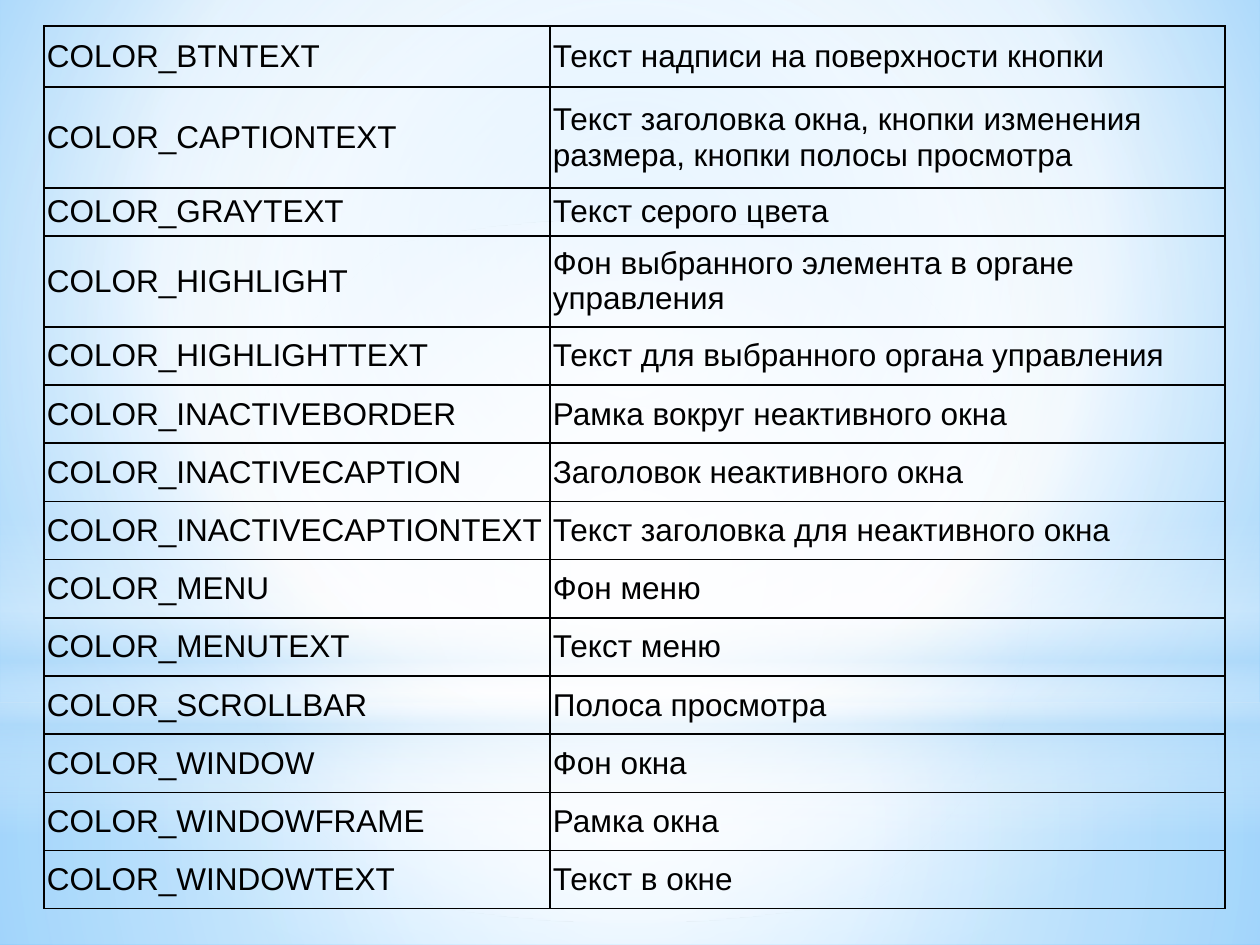
from lxml import etree
from pptx import Presentation
from pptx.dml.color import RGBColor
from pptx.enum.shapes import MSO_SHAPE
from pptx.enum.text import MSO_ANCHOR
from pptx.oxml.ns import qn
from pptx.util import Emu, Pt

RECTANGLE = MSO_SHAPE.RECTANGLE
OVAL = MSO_SHAPE.OVAL
MIDDLE = MSO_ANCHOR.MIDDLE

BLACK = RGBColor(0x00, 0x00, 0x00)
WHITE = RGBColor(0xFF, 0xFF, 0xFF)
SKY = RGBColor(0x9E, 0xD5, 0xFF)
BLUE = RGBColor(0x5B, 0xB9, 0xFF)
PALE = RGBColor(0xB4, 0xDC, 0xFA)

FONT = "Arial"
FONT_SIZE = 18
BORDER_WIDTH = 1
SCALE = 914400 // 126
WIDTH, HEIGHT = 1260, 945
CENTER = (50, 50, 50, 50)

BACKDROP_STOPS = [(0, SKY, 100), (60, WHITE, 100), (100, BLUE, 100)]
BACKDROP_FOCUS = (20, 10, 20, 60)

GLOWS = [
    (RECTANGLE, (0, 703, WIDTH, 242), CENTER,
     [(0, WHITE, 91), (37, WHITE, 76), (100, PALE, 79)]),
    (RECTANGLE, (0, 0, WIDTH, 703), CENTER,
     [(0, WHITE, 89), (48, WHITE, 62), (100, PALE, 79)]),
    (RECTANGLE, (0, 519, WIDTH, 315), None,
     [(0, WHITE, 0), (29, WHITE, 30), (45, PALE, 40),
      (55, WHITE, 26), (65, PALE, 60), (100, WHITE, 0)]),
    (OVAL, (0, 220, WIDTH, 703), CENTER,
     [(0, WHITE, 100), (56, WHITE, 0)]),
]

TABLE_LEFT, TABLE_TOP, TABLE_HEIGHT = 44, 26, 883
COLUMN_WIDTHS = [506, 675]
FIRST_ROW_HEIGHTS = [61, 101, 48, 91]
SIDE_MARGIN, EDGE_MARGIN = 3, 1

ROWS = [
    ("COLOR_BTNTEXT", "Текст надписи на поверхности кнопки"),
    ("COLOR_CAPTIONTEXT",
     "Текст заголовка окна, кнопки изменения размера, кнопки полосы просмотра"),
    ("COLOR_GRAYTEXT", "Текст серого цвета"),
    ("COLOR_HIGHLIGHT", "Фон выбранного элемента в органе управления"),
    ("COLOR_HIGHLIGHTTEXT", "Текст для выбранного органа управления"),
    ("COLOR_INACTIVEBORDER", "Рамка вокруг неактивного окна"),
    ("COLOR_INACTIVECAPTION", "Заголовок неактивного окна"),
    ("COLOR_INACTIVECAPTIONTEXT", "Текст заголовка для неактивного окна"),
    ("COLOR_MENU", "Фон меню"),
    ("COLOR_MENUTEXT", "Текст меню"),
    ("COLOR_SCROLLBAR", "Полоса просмотра"),
    ("COLOR_WINDOW", "Фон окна"),
    ("COLOR_WINDOWFRAME", "Рамка окна"),
    ("COLOR_WINDOWTEXT", "Текст в окне"),
]


def px(value):
    return Emu(round(value * SCALE))


def add_node(parent, tag, **attributes):
    node = etree.SubElement(parent, qn(tag))
    for name, value in attributes.items():
        node.set(name, str(value))
    return node


def add_color(parent, color, opacity=100):
    node = add_node(parent, "a:srgbClr", val=color)
    if opacity < 100:
        add_node(node, "a:alpha", val=opacity * 1000)


def set_gradient(fill, element, stops, focus):
    fill.gradient()
    gradient = element.find(".//" + qn("a:gradFill"))
    for child in list(gradient):
        gradient.remove(child)
    stop_list = add_node(gradient, "a:gsLst")
    for position, color, opacity in stops:
        add_color(add_node(stop_list, "a:gs", pos=position * 1000), color, opacity)
    if focus is None:
        add_node(gradient, "a:lin", ang=90 * 60000, scaled=0)
    else:
        circle = add_node(gradient, "a:path", path="circle")
        sides = {side: value * 1000 for side, value in zip("ltrb", focus)}
        add_node(circle, "a:fillToRect", **sides)


def set_borders(cell):
    properties = cell._tc.get_or_add_tcPr()
    for index, tag in enumerate(("a:lnL", "a:lnR", "a:lnT", "a:lnB")):
        line = add_node(properties, tag, w=Pt(BORDER_WIDTH))
        add_color(add_node(line, "a:solidFill"), BLACK)
        properties.insert(index, line)


def fill_cell(cell, text):
    cell.fill.background()
    cell.vertical_anchor = MIDDLE
    cell.margin_left = cell.margin_right = px(SIDE_MARGIN)
    cell.margin_top = cell.margin_bottom = px(EDGE_MARGIN)
    run = cell.text_frame.paragraphs[0].add_run()
    run.text = text
    run.font.name = FONT
    run.font.size = Pt(FONT_SIZE)
    run.font.color.rgb = BLACK
    set_borders(cell)


presentation = Presentation()
presentation.slide_width = px(WIDTH)
presentation.slide_height = px(HEIGHT)
slide = presentation.slides.add_slide(presentation.slide_layouts[6])
set_gradient(slide.background.fill, slide._element, BACKDROP_STOPS, BACKDROP_FOCUS)

for kind, box, focus, stops in GLOWS:
    glow = slide.shapes.add_shape(kind, *map(px, box))
    glow.shadow.inherit = False
    glow.line.fill.background()
    set_gradient(glow.fill, glow._element, stops, focus)

equal_count = len(ROWS) - len(FIRST_ROW_HEIGHTS)
equal_height = (TABLE_HEIGHT - sum(FIRST_ROW_HEIGHTS)) / equal_count
row_heights = FIRST_ROW_HEIGHTS + [equal_height] * equal_count

table = slide.shapes.add_table(
    len(ROWS), len(COLUMN_WIDTHS), px(TABLE_LEFT), px(TABLE_TOP),
    px(sum(COLUMN_WIDTHS)), px(TABLE_HEIGHT)).table
table.first_row = False
table.horz_banding = False
for column, width in zip(table.columns, COLUMN_WIDTHS):
    column.width = px(width)
for row, height, texts in zip(table.rows, row_heights, ROWS):
    row.height = px(height)
    for cell, text in zip(row.cells, texts):
        fill_cell(cell, text)

presentation.save("out.pptx")
